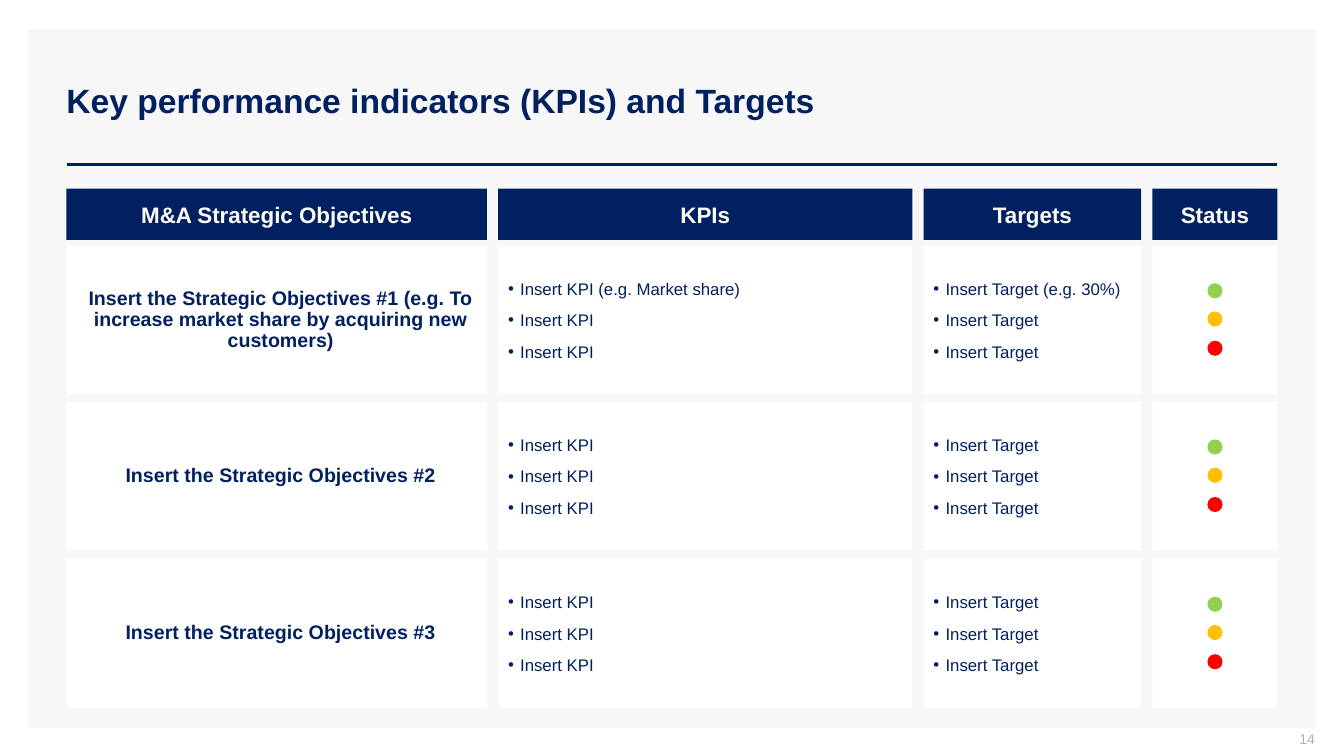
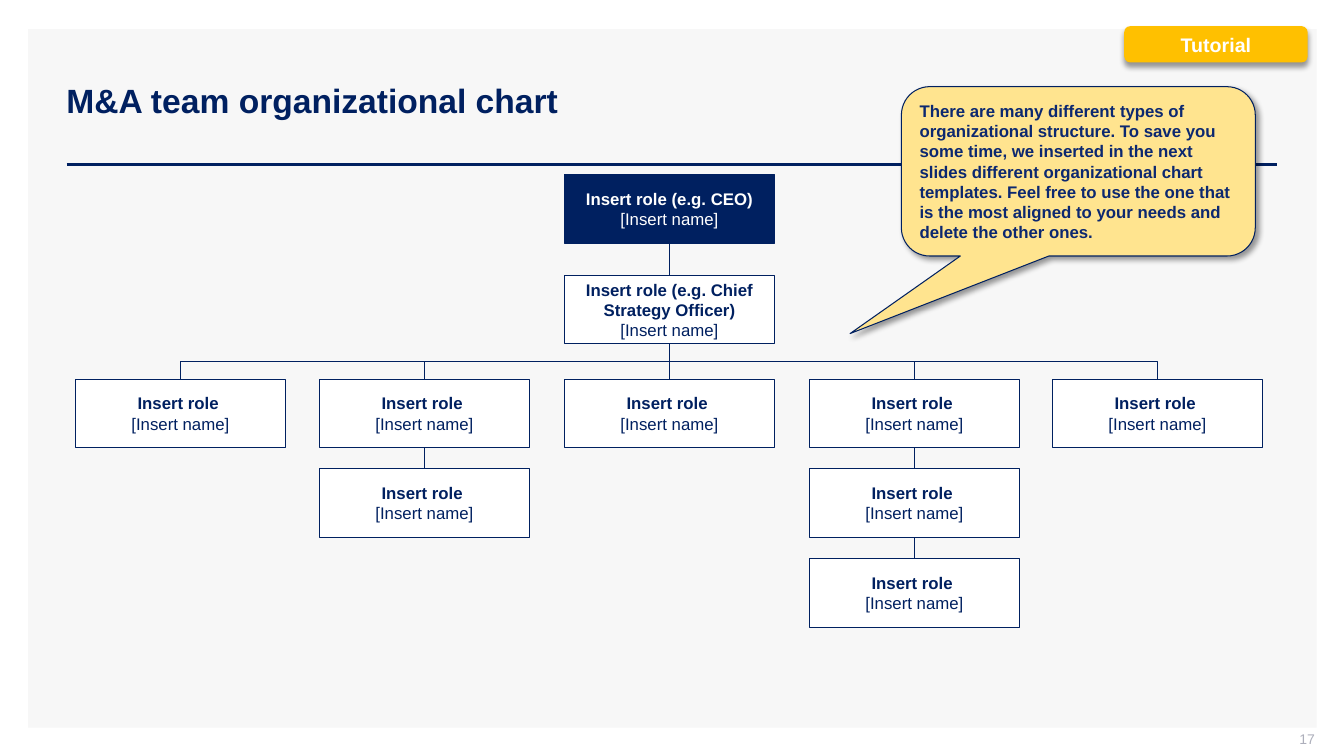
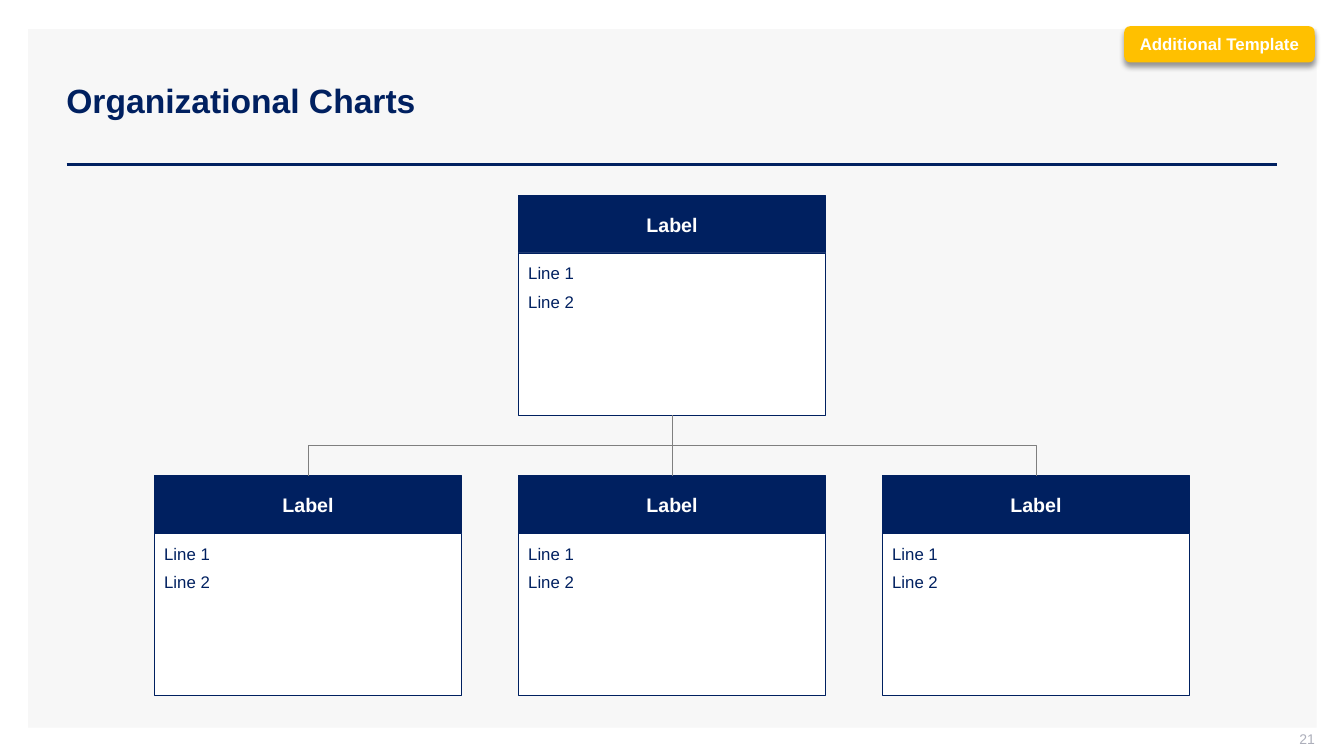
import pptx
import pptx.util
from pptx.dml.color import RGBColor
from pptx.enum.shapes import MSO_CONNECTOR, MSO_SHAPE
from pptx.enum.text import MSO_ANCHOR, PP_ALIGN
from pptx.oxml.ns import qn
from lxml import etree

Inches = pptx.util.Inches
Pt = pptx.util.Pt

# Shared style
FONT = "Arial"
NAVY = RGBColor(0x00, 0x20, 0x60)
CALLOUT_NAVY = RGBColor(0x0C, 0x28, 0x70)
WHITE = RGBColor(0xFF, 0xFF, 0xFF)
PANEL_GREY = RGBColor(0xF7, 0xF7, 0xF7)
NUMBER_GREY = RGBColor(0xAD, 0xAF, 0xBB)
LINK_GREY = RGBColor(0x7F, 0x7F, 0x7F)
GREEN = RGBColor(0x92, 0xD0, 0x50)
AMBER = RGBColor(0xFF, 0xC0, 0x00)
RED = RGBColor(0xFF, 0x00, 0x00)
CALLOUT_YELLOW = RGBColor(0xFF, 0xE4, 0x8F)

MARGIN_LEFT, MARGIN_RIGHT = 0.66, 12.67
DEFAULT_INSETS = (0.1, 0.05, 0.1, 0.05)


def write(shape, lines, size, color, bold=False, align=PP_ALIGN.LEFT,
          anchor=MSO_ANCHOR.MIDDLE, insets=DEFAULT_INSETS,
          before=0, after=0, spacing=None):
    """Fill a shape with one paragraph per line, all in one style."""
    frame = shape.text_frame
    frame.word_wrap = True
    frame.vertical_anchor = anchor
    (frame.margin_left, frame.margin_top,
     frame.margin_right, frame.margin_bottom) = map(Inches, insets)
    frame.text = "\n".join(lines)
    for paragraph in frame.paragraphs:
        paragraph.alignment = align
        paragraph.space_before = Pt(before)
        paragraph.space_after = Pt(after)
        if spacing:
            paragraph.line_spacing = spacing
        for run in paragraph.runs:
            run.font.name = FONT
            run.font.size = Pt(size)
            run.font.bold = bold
            run.font.color.rgb = color
    return frame


def add_box(slide, left, top, width, height, fill, border=None,
            border_width=0.5, kind=MSO_SHAPE.RECTANGLE):
    box = slide.shapes.add_shape(kind, Inches(left), Inches(top),
                                 Inches(width), Inches(height))
    box.shadow.inherit = False
    box.fill.solid()
    box.fill.fore_color.rgb = fill
    if border is None:
        box.line.fill.background()
    else:
        box.line.color.rgb = border
        box.line.width = Pt(border_width)
    return box


def add_text(slide, left, top, width, height, text, size, color, **style):
    area = slide.shapes.add_textbox(Inches(left), Inches(top),
                                    Inches(width), Inches(height))
    write(area, [text], size, color, **style)


def add_line(slide, x1, y1, x2, y2, color, width=0.5, kind=MSO_CONNECTOR.STRAIGHT):
    line = slide.shapes.add_connector(kind, Inches(x1), Inches(y1),
                                      Inches(x2), Inches(y2))
    line.line.color.rgb = color
    line.line.width = Pt(width)
    etree.SubElement(line._element.spPr, qn("a:effectLst"))
    return line


def add_branch(slide, x1, y1, x2, y2, color):
    """Join a parent's foot to a child's head: down, across, down."""
    if x1 == x2:
        add_line(slide, x1, y1, x2, y2, color)
        return
    # An elbow runs sideways first, so it is drawn turned by a quarter
    middle_x, middle_y = (x1 + x2) / 2, (y1 + y2) / 2
    half_span, half_drop = abs(x2 - x1) / 2, (y2 - y1) / 2
    side = 1 if x2 < x1 else -1
    elbow = add_line(slide, middle_x - side * half_drop, middle_y - half_span,
                     middle_x + side * half_drop, middle_y + half_span,
                     color, kind=MSO_CONNECTOR.ELBOW)
    quarter_turn = 90 if side == 1 else 270
    elbow._element.spPr.find(qn("a:xfrm")).set("rot", str(quarter_turn * 60000))


def add_shadow(shape, angle):
    effects = shape._element.spPr.find(qn("a:effectLst"))
    shadow = etree.SubElement(effects, qn("a:outerShdw"), blurRad=str(Pt(4)),
                              dist=str(Pt(3)), dir=str(angle * 60000),
                              algn="t", rotWithShape="0")
    black = etree.SubElement(shadow, qn("a:srgbClr"), val="000000")
    etree.SubElement(black, qn("a:alpha"), val="40000")


def add_bullets(frame):
    for paragraph in frame.paragraphs:
        properties = paragraph._p.get_or_add_pPr()
        properties.set("marL", str(Inches(0.12)))
        properties.set("indent", str(Inches(-0.12)))
        etree.SubElement(properties, qn("a:buFont"), typeface=FONT)
        etree.SubElement(properties, qn("a:buChar"), char="•")


def add_base_slide(deck, title, number):
    """Grey panel, title, rule and page number."""
    slide = deck.slides.add_slide(deck.slide_layouts[6])
    add_box(slide, 0.28, 0.29, 12.78, 6.93, PANEL_GREY)
    add_line(slide, MARGIN_LEFT, 1.63, MARGIN_RIGHT, 1.63, NAVY, 2)
    add_text(slide, 0.56, 0.4, 12.11, 1.19, title, 24, NAVY, bold=True)
    add_text(slide, 10.04, 7.25, 3, 0.21, number, 10, NUMBER_GREY,
             align=PP_ALIGN.RIGHT, insets=(0.1, 0, 0, 0.05))
    return slide


def add_tag(slide, text, width, size):
    tag = add_box(slide, 11.15, 0.26, width, 0.36, AMBER,
                  kind=MSO_SHAPE.ROUNDED_RECTANGLE)
    add_shadow(tag, 90)
    write(tag, [text], size, WHITE, bold=True, align=PP_ALIGN.CENTER,
          insets=(0.04, 0.05, 0.04, 0.05))


# Slide: KPIs and targets
def build_kpis(deck):
    slide = add_base_slide(deck, "Key performance indicators (KPIs) and Targets", "14")
    columns = [("M&A Strategic Objectives", 4.17), ("KPIs", 4.11),
               ("Targets", 2.16), ("Status", 1.24)]
    gap, row_height, row_tops = 0.11, 1.47, (2.44, 3.99, 5.55)
    insets = (0.1, 0.05, 0.02, 0.05)
    kpi, target = "Insert KPI", "Insert Target"
    rows = [
        ("Insert the Strategic Objectives #1 (e.g. To increase market share "
         "by acquiring new customers)",
         [kpi + " (e.g. Market share)", kpi, kpi],
         [target + " (e.g. 30%)", target, target]),
        ("Insert the Strategic Objectives #2", [kpi] * 3, [target] * 3),
        ("Insert the Strategic Objectives #3", [kpi] * 3, [target] * 3),
    ]
    left = MARGIN_LEFT
    for column, (heading, width) in enumerate(columns):
        header = add_box(slide, left, 1.87, width, 0.51, NAVY)
        write(header, [heading], 16, WHITE, bold=True, align=PP_ALIGN.CENTER)
        for top, row in zip(row_tops, rows):
            cell = add_box(slide, left, top, width, row_height, WHITE)
            if heading == "Status":
                for drop, light in ((0.37, GREEN), (0.65, AMBER), (0.94, RED)):
                    add_box(slide, left + (width - 0.15) / 2, top + drop,
                            0.15, 0.15, light, kind=MSO_SHAPE.OVAL)
            elif column == 0:
                write(cell, [row[0]], 14, NAVY, bold=True,
                      align=PP_ALIGN.CENTER, insets=insets, spacing=0.9)
            else:
                add_bullets(write(cell, row[column], 12, NAVY, insets=insets,
                                  before=4, after=4))
        left += width + gap


# Slide: team organizational chart
def build_team(deck):
    slide = add_base_slide(deck, "M&A team organizational chart", "17")
    lefts = (0.75, 3.17, 5.6, 8.03, 10.44)
    tops = (1.73, 2.73, 3.76, 4.65, 5.54)
    width, height = 2.08, 0.68

    def add_role(column, level, role="Insert role ", fill=WHITE, color=NAVY, side=0.06):
        card = add_box(slide, lefts[column], tops[level], width, height, fill, NAVY)
        frame = write(card, [role, "[Insert name]"], 12, color, bold=True,
                      align=PP_ALIGN.CENTER, insets=(side, 0.02, side, 0.02))
        frame.paragraphs[1].runs[0].font.bold = False

    def link(parent, child):
        (parent_column, parent_level), (child_column, child_level) = parent, child
        add_branch(slide, lefts[parent_column] + width / 2, tops[parent_level] + height,
                   lefts[child_column] + width / 2, tops[child_level], NAVY)

    ceo, officer = (2, 0), (2, 1)
    add_role(*ceo, "Insert role (e.g. CEO)", NAVY, WHITE, side=0.02)
    add_role(*officer, "Insert role (e.g. Chief Strategy Officer)")
    link(ceo, officer)
    for column, depth in enumerate((1, 2, 1, 3, 1)):
        parent = officer
        for level in range(2, 2 + depth):
            add_role(column, level)
            link(parent, (column, level))
            parent = (column, level)

    # Advice and tag
    advice = add_box(slide, 8.94, 0.86, 3.51, 1.68, CALLOUT_YELLOW, NAVY, 0.75,
                     MSO_SHAPE.ROUNDED_RECTANGULAR_CALLOUT)
    for index, value in enumerate((-0.645, 0.958, 0.167)):
        advice.adjustments[index] = value
    add_shadow(advice, 45)
    write(advice, ["There are many different types of organizational structure. "
                   "To save you some time, we inserted in the next slides different "
                   "organizational chart templates. Feel free to use the one that is "
                   "the most aligned to your needs and delete the other ones."],
          12, CALLOUT_NAVY, bold=True, before=6, after=6)
    add_tag(slide, "Tutorial", 1.82, 14)


# Slide: organizational chart template
def build_template(deck):
    slide = add_base_slide(deck, "Organizational Charts", "21")
    width, label_height, body_height = 3.05, 0.57, 1.61
    parent_left, parent_top, child_top, pitch = 5.14, 1.94, 4.72, 3.61
    insets = (0.1, 0.1, 0.1, 0.1)

    def add_card(left, top):
        label = add_box(slide, left, top, width, label_height, NAVY, NAVY)
        write(label, ["Label"], 14, WHITE, bold=True, align=PP_ALIGN.CENTER, insets=insets)
        body = add_box(slide, left, top + label_height, width, body_height, WHITE, NAVY)
        write(body, ["Line 1", "Line 2"], 12, NAVY, anchor=MSO_ANCHOR.TOP,
              insets=insets, after=6)

    add_card(parent_left, parent_top)
    for step in (-1, 0, 1):
        left = parent_left + step * pitch
        add_card(left, child_top)
        add_branch(slide, parent_left + width / 2, parent_top + label_height + body_height,
                   left + width / 2, child_top, LINK_GREY)
    add_tag(slide, "Additional Template", 1.89, 12)


def main():
    deck = pptx.Presentation()
    deck.slide_width, deck.slide_height = Inches(13.33), Inches(7.5)
    build_kpis(deck)
    build_team(deck)
    build_template(deck)
    deck.save("out.pptx")


if __name__ == "__main__":
    main()
